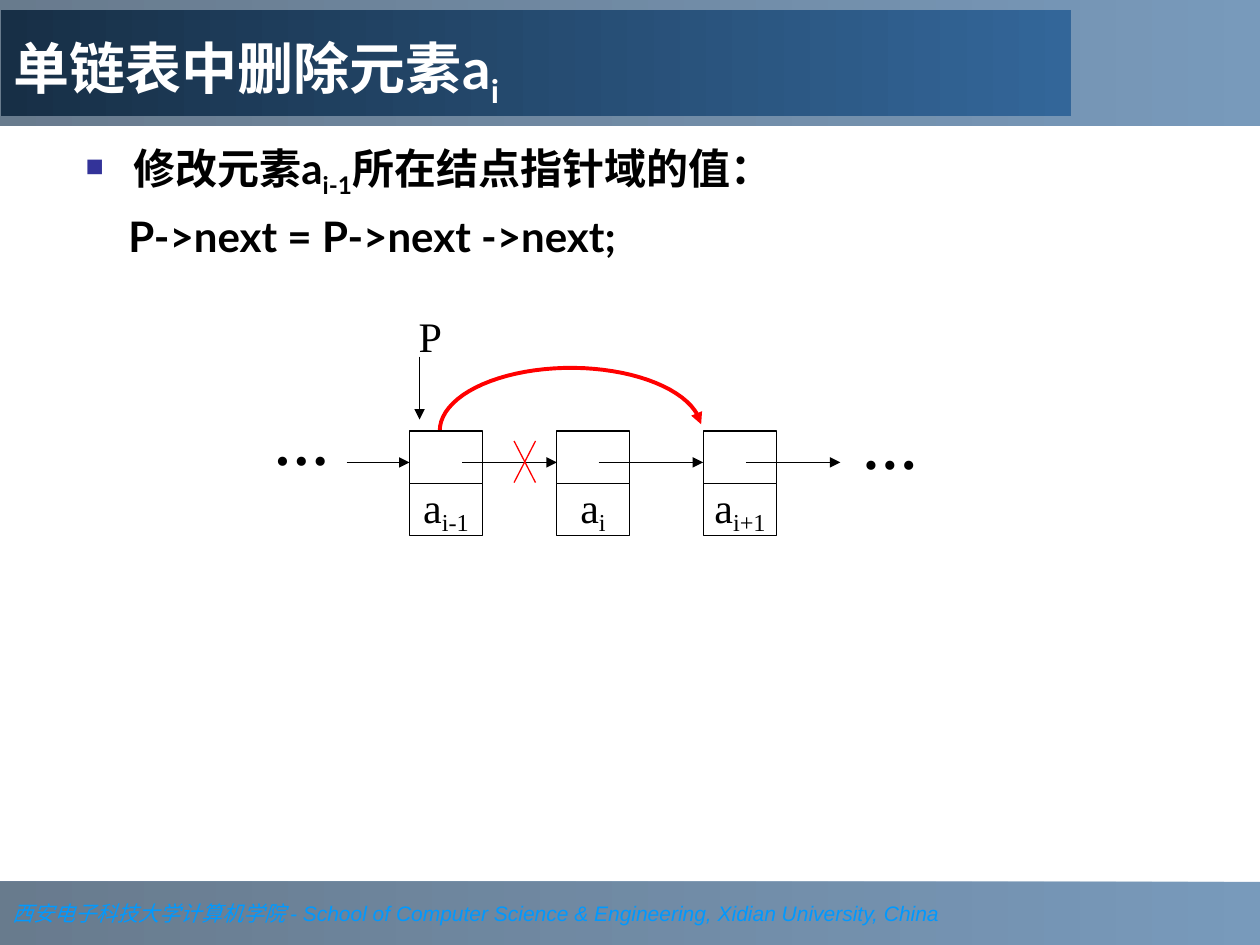
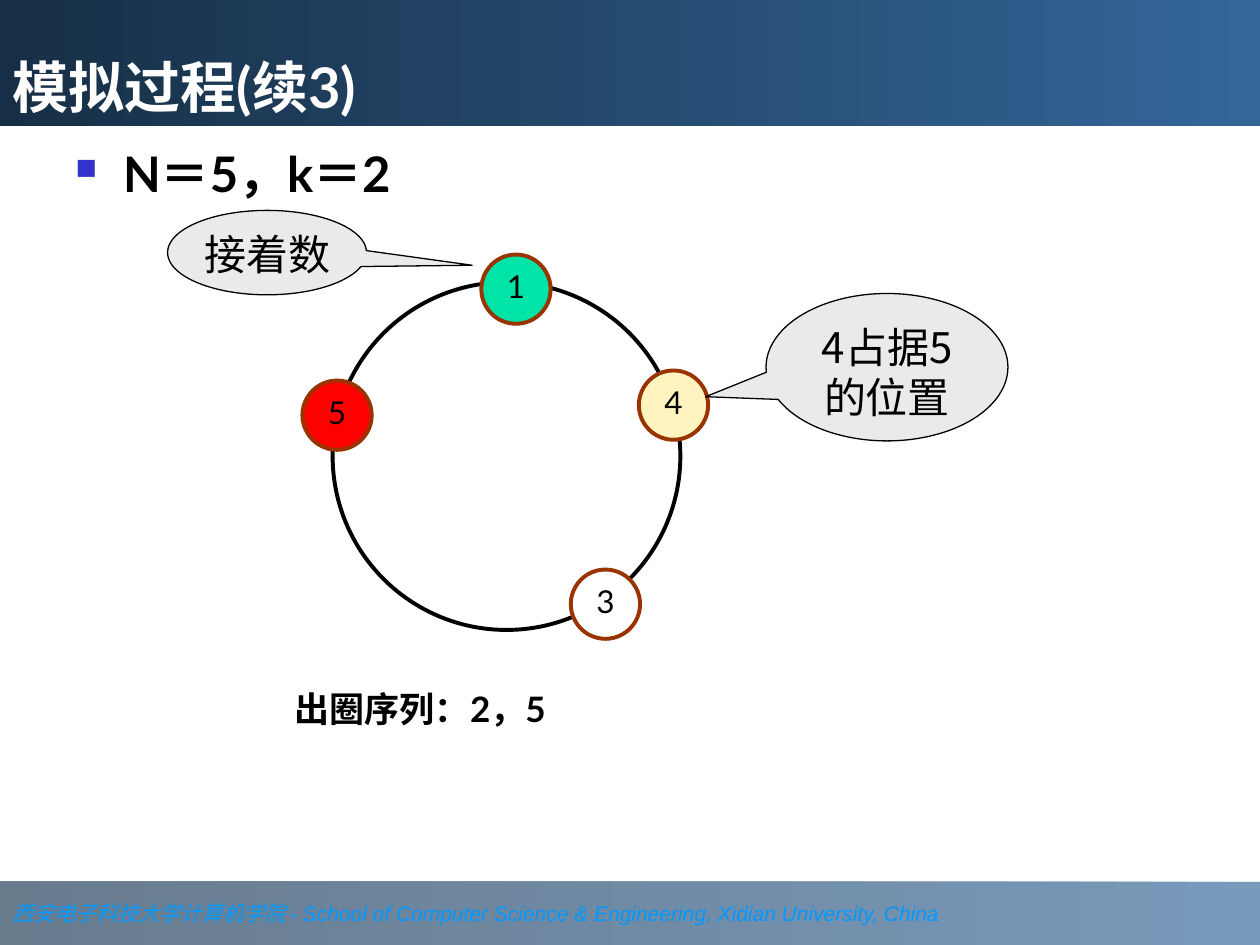
from dataclasses import dataclass
from math import cos, radians, sin

from lxml.etree import SubElement
from pptx import Presentation
from pptx.dml.color import RGBColor
from pptx.enum.shapes import MSO_CONNECTOR, MSO_SHAPE
from pptx.enum.text import MSO_ANCHOR, MSO_AUTO_SIZE, PP_ALIGN
from pptx.oxml.ns import qn
from pptx.util import Inches, Pt


@dataclass(frozen=True)
class Theme:
    black: str = "000000"
    white: str = "FFFFFF"
    red: str = "FF0000"
    band_light: str = "336699"
    band_dark: str = "1B3753"
    title_dark: str = "172F46"
    footer: str = "0099FF"
    navy_bullet: str = "333399"
    blue_bullet: str = "3333CC"
    callout: str = "EAEAEA"
    ring: str = "993300"
    current: str = "00E4A8"
    moved: str = "FFF3BF"
    sans: str = "Lato"
    serif: str = "Times New Roman"
    chinese: str = "Noto Sans CJK SC"
    footer_font: str = "Arial"
    title_size: float = 32
    heading_size: float = 28
    body_size: float = 24
    note_size: float = 20
    label_size: float = 18
    footer_size: float = 12
    thin: float = 0.75
    thick: float = 2.25


THEME = Theme()
INSETS = (0.1, 0.05, 0.1, 0.05)
NO_INSETS = (0, 0, 0, 0)


def color(value):
    return RGBColor.from_string(value)


def box(left, top, width, height):
    return Inches(left), Inches(top), Inches(width), Inches(height)


def add_run(paragraph, text, size, font=THEME.sans, fill=THEME.black,
            bold=False, italic=False, baseline=0):
    run = paragraph.add_run()
    run.text = text
    run.font.size = Pt(size)
    run.font.bold = bold
    run.font.italic = italic
    run.font.color.rgb = color(fill)
    run.font.name = font
    properties = run._r.get_or_add_rPr()
    SubElement(properties, qn("a:ea"), typeface=THEME.chinese)
    if baseline:
        properties.set("baseline", str(baseline * 1000))


def prepare_text(shape, insets=INSETS, anchor=MSO_ANCHOR.TOP, wrap=True,
                 align=PP_ALIGN.LEFT, line_spacing=None):
    frame = shape.text_frame
    frame.auto_size = MSO_AUTO_SIZE.NONE
    frame.word_wrap = wrap
    frame.vertical_anchor = anchor
    (frame.margin_left, frame.margin_top,
     frame.margin_right, frame.margin_bottom) = box(*insets)
    paragraph = frame.paragraphs[0]
    paragraph.alignment = align
    if line_spacing:
        paragraph.line_spacing = line_spacing
    return paragraph


def set_indent(paragraph, margin, first_line=0):
    properties = paragraph._p.get_or_add_pPr()
    properties.set("marL", str(Inches(margin)))
    properties.set("indent", str(Inches(first_line)))
    return properties


def set_bullet(paragraph, fill):
    properties = set_indent(paragraph, 0.38, -0.38)
    bullet_color = SubElement(properties, qn("a:buClr"))
    SubElement(bullet_color, qn("a:srgbClr"), val=fill)
    SubElement(properties, qn("a:buSzPct"), val="60000")
    SubElement(properties, qn("a:buChar"), char="■")


def fill_gradient(shape, light, dark, opacity=100):
    shape.fill.gradient()
    shape.fill.gradient_angle = 180
    for stop, value in zip(shape.fill.gradient_stops, (light, dark)):
        stop.color.rgb = color(value)
    if opacity < 100:
        for value in shape.element.spPr.iter(qn("a:srgbClr")):
            SubElement(value, qn("a:alpha"), val=str(opacity * 1000))


def add_figure(slide, kind, bounds, fill=None, line=None, width=THEME.thin):
    shape = slide.shapes.add_shape(kind, *box(*bounds))
    shape.shadow.inherit = False
    if fill:
        shape.fill.solid()
        shape.fill.fore_color.rgb = color(fill)
    else:
        shape.fill.background()
    if line:
        shape.line.color.rgb = color(line)
        shape.line.width = Pt(width)
    else:
        shape.line.fill.background()
    return shape


def add_text(slide, bounds, **layout):
    shape = slide.shapes.add_textbox(*box(*bounds))
    return prepare_text(shape, **layout)


def add_arrowhead(shape):
    SubElement(shape.line._get_or_add_ln(), qn("a:tailEnd"), type="triangle")


def add_line(slide, start, end, fill=THEME.black, arrow=True):
    points = [Inches(value) for value in (*start, *end)]
    line = slide.shapes.add_connector(MSO_CONNECTOR.STRAIGHT, *points)
    line.line.color.rgb = color(fill)
    line.line.width = Pt(THEME.thin)
    if arrow:
        add_arrowhead(line)
    SubElement(line.element.spPr, qn("a:effectLst"))


def add_arc_arrow(slide, center, radii, start_angle, end_angle, steps=40):
    points = []
    for step in range(steps + 1):
        angle = radians(start_angle + (end_angle - start_angle) * step / steps)
        points.append((Inches(center[0] + radii[0] * cos(angle)),
                       Inches(center[1] - radii[1] * sin(angle))))
    builder = slide.shapes.build_freeform(*points[0])
    builder.add_line_segments(points[1:], close=False)
    arc = builder.convert_to_shape()
    arc.shadow.inherit = False
    arc.fill.background()
    arc.line.color.rgb = color(THEME.red)
    arc.line.width = Pt(THEME.thick)
    add_arrowhead(arc)


def add_bands(slide):
    footer, header = [
        add_figure(slide, MSO_SHAPE.RECTANGLE, bounds)
        for bounds in ((0, 7, 10, 0.5), (0, 0, 10, 1))
    ]
    paragraph = prepare_text(footer, anchor=MSO_ANCHOR.MIDDLE)
    for text, font in (
        ("西安电子科技大学计算机学院 ", THEME.serif),
        ("- School of Computer Science & Engineering, Xidian University, China",
         THEME.footer_font),
    ):
        add_run(paragraph, text, THEME.footer_size, font, THEME.footer, italic=True)
    layout_tree = slide.slide_layout.shapes.element
    for index, band in enumerate((footer, header)):
        fill_gradient(band, THEME.band_light, THEME.band_dark, 66)
        band.element.nvSpPr.cNvPr.set("id", str(100 + index))
        layout_tree.insert(2 + index, band.element)


def add_title(slide, bounds, text, subscript=None):
    title = slide.shapes.title
    title.left, title.top, title.width, title.height = box(*bounds)
    fill_gradient(title, THEME.band_light, THEME.title_dark)
    paragraph = prepare_text(title, anchor=MSO_ANCHOR.BOTTOM)
    add_run(paragraph, text, THEME.title_size, fill=THEME.white, bold=True)
    if subscript:
        add_run(paragraph, subscript, THEME.title_size, fill=THEME.white,
                bold=True, baseline=-25)


def add_list_node(slide, left, subscript):
    for top in (3.83, 3.42):
        cell = add_figure(slide, MSO_SHAPE.RECTANGLE, (left, top, 0.58, 0.42),
                          THEME.white, THEME.black)
        if top == 3.83:
            paragraph = prepare_text(cell, anchor=MSO_ANCHOR.MIDDLE, wrap=False,
                                     align=PP_ALIGN.CENTER)
            add_run(paragraph, "a", THEME.body_size, THEME.serif)
            add_run(paragraph, subscript, THEME.body_size, THEME.serif, baseline=-20)


def add_ellipsis(slide, left, top):
    paragraph = add_text(slide, (left, top, 1.17, 0.53), insets=NO_INSETS)
    set_indent(paragraph, 0.59)
    add_run(paragraph, "…", THEME.title_size, THEME.serif, bold=True)


def add_person(slide, left, top, number, fill):
    circle = add_figure(slide, MSO_SHAPE.OVAL, (left, top, 0.55, 0.55),
                        fill, THEME.ring, THEME.thick)
    paragraph = prepare_text(circle, anchor=MSO_ANCHOR.MIDDLE, wrap=False,
                             align=PP_ALIGN.CENTER, line_spacing=0.8)
    add_run(paragraph, number, THEME.label_size)


def add_callout(slide, bounds, pointer, text, side_inset):
    callout = add_figure(slide, MSO_SHAPE.OVAL_CALLOUT, bounds,
                         THEME.callout, THEME.black)
    callout.adjustments[0], callout.adjustments[1] = pointer
    paragraph = prepare_text(callout, (side_inset, 0.05, side_inset, 0.05),
                             align=PP_ALIGN.CENTER)
    add_run(paragraph, text, THEME.body_size, THEME.chinese)


def build_deletion_slide(slide):
    add_title(slide, (0.01, 0.08, 8.49, 0.84), "单链表中删除元素a", "i")
    paragraph = add_text(slide, (0.58, 1.08, 8.82, 1.08))
    set_bullet(paragraph, THEME.navy_bullet)
    for text, baseline in (("修改元素a", 0), ("i-1", -25), ("所在结点指针域的值：", 0)):
        add_run(paragraph, text, THEME.body_size, bold=True, baseline=baseline)
    statement = slide.shapes[-1].text_frame.add_paragraph()
    statement.space_before = Pt(6)
    set_indent(statement, 0.34)
    add_run(statement, "P->next = P->next ->next;", THEME.body_size, bold=True)

    add_arc_arrow(slide, (4.53, 3.42), (1.04, 0.5), 180, 6)
    for index, subscript in enumerate(("i-1", "i", "i+1")):
        add_list_node(slide, 3.25 + index * 7 / 6, subscript)
    add_ellipsis(slide, 1.58, 3.25)
    add_ellipsis(slide, 6.25, 3.28)
    for start, end in ((2.75, 3.25), (3.67, 4.42), (4.75, 5.58), (5.92, 6.67)):
        add_line(slide, (start, 3.67), (end, 3.67))
    pointer = add_text(slide, (3, 2.46, 0.83, 0.46), align=PP_ALIGN.CENTER,
                       line_spacing=0.9)
    add_run(pointer, "P", THEME.body_size, THEME.serif)
    add_line(slide, (3.33, 2.83), (3.33, 3.33))
    for start, end in ((4.25, 4.08), (4.08, 4.25)):
        add_line(slide, (start, 3.5), (end, 3.83), THEME.red, arrow=False)


def build_simulation_slide(slide):
    add_title(slide, (0, 0, 10, 1), "模拟过程(续3)")
    paragraph = add_text(slide, (0.5, 1.09, 9, 0.92))
    set_bullet(paragraph, THEME.blue_bullet)
    add_run(paragraph, "N＝5，k＝2", THEME.heading_size, bold=True)

    add_figure(slide, MSO_SHAPE.OVAL, (2.64, 2.24, 2.76, 2.76),
               line=THEME.black, width=THEME.thick)
    for left, top, number, fill in (
        (4.53, 4.52, "3", THEME.white),
        (2.4, 3.02, "5", THEME.red),
        (3.82, 2.02, "1", THEME.current),
        (5.07, 2.94, "4", THEME.moved),
    ):
        add_person(slide, left, top, number, fill)
    sequence = add_text(slide, (2.24, 5.47, 3.62, 0.37), line_spacing=0.8)
    add_run(sequence, "出圈序列：2，5", THEME.note_size, bold=True)
    add_callout(slide, (1.33, 1.67, 1.58, 0.67), (1.03, 0.15), "接着数", 0)
    add_callout(slide, (6.08, 2.33, 1.92, 1.17), (-0.75, 0.2), "4占据5的位置", 0.02)


def main():
    presentation = Presentation()
    presentation.slide_width = Inches(10)
    presentation.slide_height = Inches(7.5)
    title_only = presentation.slide_layouts[5]
    deletion, simulation = [presentation.slides.add_slide(title_only) for _ in range(2)]
    add_bands(deletion)
    build_deletion_slide(deletion)
    build_simulation_slide(simulation)
    presentation.save("out.pptx")


if __name__ == "__main__":
    main()
